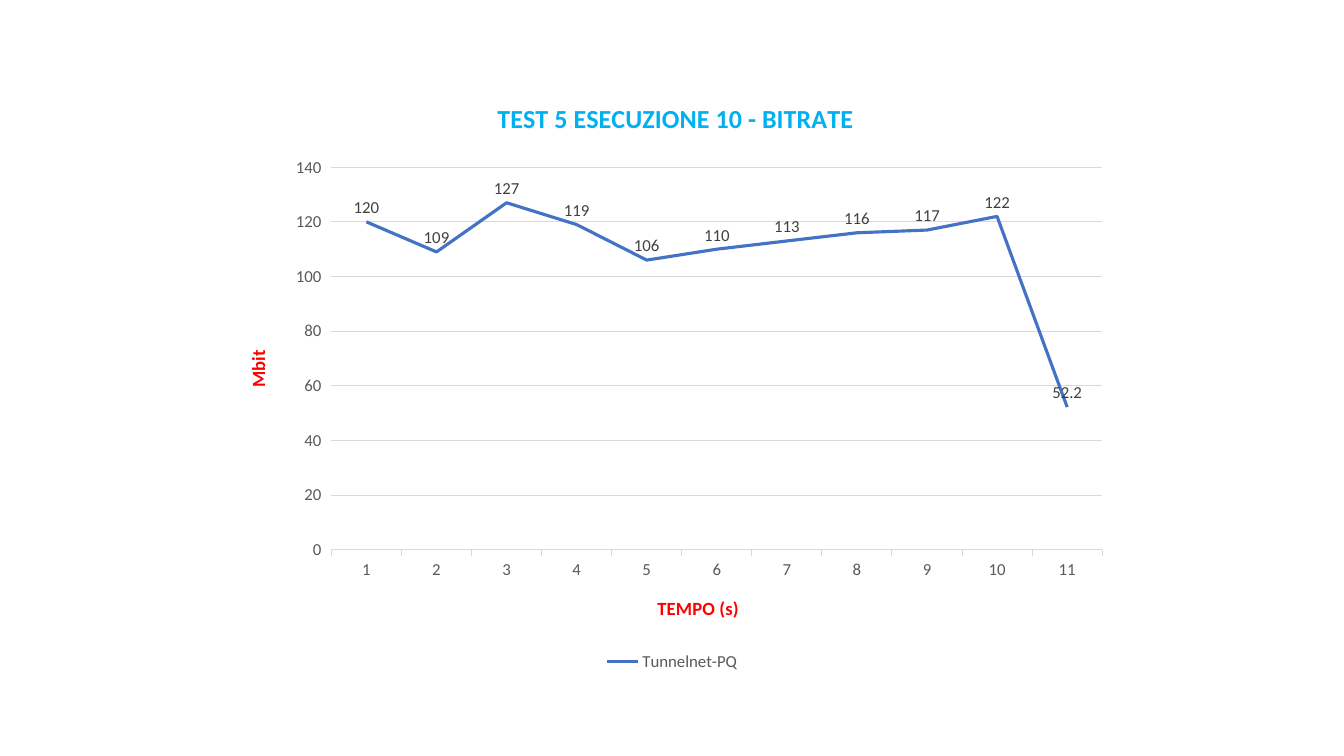
from dataclasses import dataclass

from pptx import Presentation
from pptx.chart.data import CategoryChartData
from pptx.dml.color import RGBColor
from pptx.enum.chart import (XL_CHART_TYPE, XL_LABEL_POSITION, XL_LEGEND_POSITION,
                             XL_MARKER_STYLE, XL_TICK_MARK)
from pptx.oxml import parse_xml
from pptx.oxml.ns import nsdecls
from pptx.util import Inches, Pt

LINE = XL_CHART_TYPE.LINE
ABOVE = XL_LABEL_POSITION.ABOVE
BOTTOM = XL_LEGEND_POSITION.BOTTOM
NO_MARKER = XL_MARKER_STYLE.NONE
TICK_OUT, TICK_NONE = XL_TICK_MARK.OUTSIDE, XL_TICK_MARK.NONE


@dataclass(frozen=True)
class Theme:
    font: str = "Calibri"
    heading: str = "00B0F0"
    axis_title: str = "FF0000"
    muted: str = "595959"
    label: str = "404040"
    grid: str = "D9D9D9"
    bitrate: str = "4472C4"
    heading_size: float = 18.6
    axis_title_size: float = 13.3
    text_size: float = 12


THEME = Theme()


def set_text(target, text=None, size=THEME.text_size, color=THEME.muted, bold=False):
    """Format a chart font, or write formatted text into a chart or axis title."""
    font = target
    if text is not None:
        paragraph = target.text_frame.paragraphs[0]
        run = paragraph.add_run()
        run.text = text
        font = run.font
    font.name = THEME.font
    font.size = Pt(size)
    font.bold = bold
    font.color.rgb = RGBColor.from_string(color)


def place(element, index, x, y, size=None, inner=False):
    """Fix a chart part's place, in fractions of the chart's size."""
    for old in element.xpath("./c:layout"):
        element.remove(old)
    target = '<c:layoutTarget val="inner"/>' if inner else ""
    extent = f'<c:w val="{size[0]}"/><c:h val="{size[1]}"/>' if size else ""
    element.insert(index, parse_xml(
        f'<c:layout {nsdecls("c")}><c:manualLayout>{target}'
        f'<c:xMode val="edge"/><c:yMode val="edge"/>'
        f'<c:x val="{x}"/><c:y val="{y}"/>{extent}</c:manualLayout></c:layout>'))


prs = Presentation()
prs.slide_width, prs.slide_height = Inches(13.33), Inches(7.5)
slide = prs.slides.add_slide(prs.slide_layouts[6])

bitrate_data = CategoryChartData()
bitrate_data.categories = [str(second) for second in range(1, 12)]
bitrate_data.add_series(
    "Tunnelnet-PQ", [120, 109, 127, 119, 106, 110, 113, 116, 117, 122, 52.2])
chart = slide.shapes.add_chart(LINE, Inches(2.22), Inches(0.77), Inches(8.89),
                               Inches(5.93), bitrate_data).chart
set_text(chart.font)

chart.has_title = True
set_text(chart.chart_title, "TEST 5 ESECUZIONE 10 - BITRATE",
         size=THEME.heading_size, color=THEME.heading, bold=True)
chart.chart_title.include_in_layout = False

chart.has_legend = True
chart.legend.position = BOTTOM
chart.legend.include_in_layout = False
set_text(chart.legend.font)

time_axis, rate_axis = chart.category_axis, chart.value_axis
for axis, title in ((time_axis, "TEMPO (s)"), (rate_axis, "Mbit")):
    axis.has_title = True
    set_text(axis.axis_title, title, size=THEME.axis_title_size,
             color=THEME.axis_title, bold=True)
    set_text(axis.tick_labels.font)
    axis.major_tick_mark = TICK_OUT
    axis.minor_tick_mark = TICK_NONE

rate_axis.minimum_scale, rate_axis.maximum_scale, rate_axis.major_unit = 0, 140, 20
rate_axis.format.line.fill.background()
rate_axis.has_major_gridlines = True
for rule in (time_axis.format.line, rate_axis.major_gridlines.format.line):
    rule.color.rgb = RGBColor.from_string(THEME.grid)
    rule.width = Pt(0.75)

plot = chart.plots[0]
plot.vary_by_categories = False
bitrate = plot.series[0]
bitrate.smooth = False
bitrate.marker.style = NO_MARKER
bitrate.format.line.color.rgb = RGBColor.from_string(THEME.bitrate)
bitrate.format.line.width = Pt(2.25)
labels = bitrate.data_labels
labels.show_value = True
labels.position = ABOVE
set_text(labels.font, color=THEME.label)

area = chart.element.xpath("//c:plotArea")[0]
place(area, 0, 0.12, 0.15, size=(0.86, 0.64), inner=True)
title_spots = ((0.3, 0.03), (0.48, 0.86), (0.02, 0.45))
for title, (x, y) in zip(chart.element.xpath("//c:title"), title_spots):
    place(title, 1, x, y)

prs.save("out.pptx")
